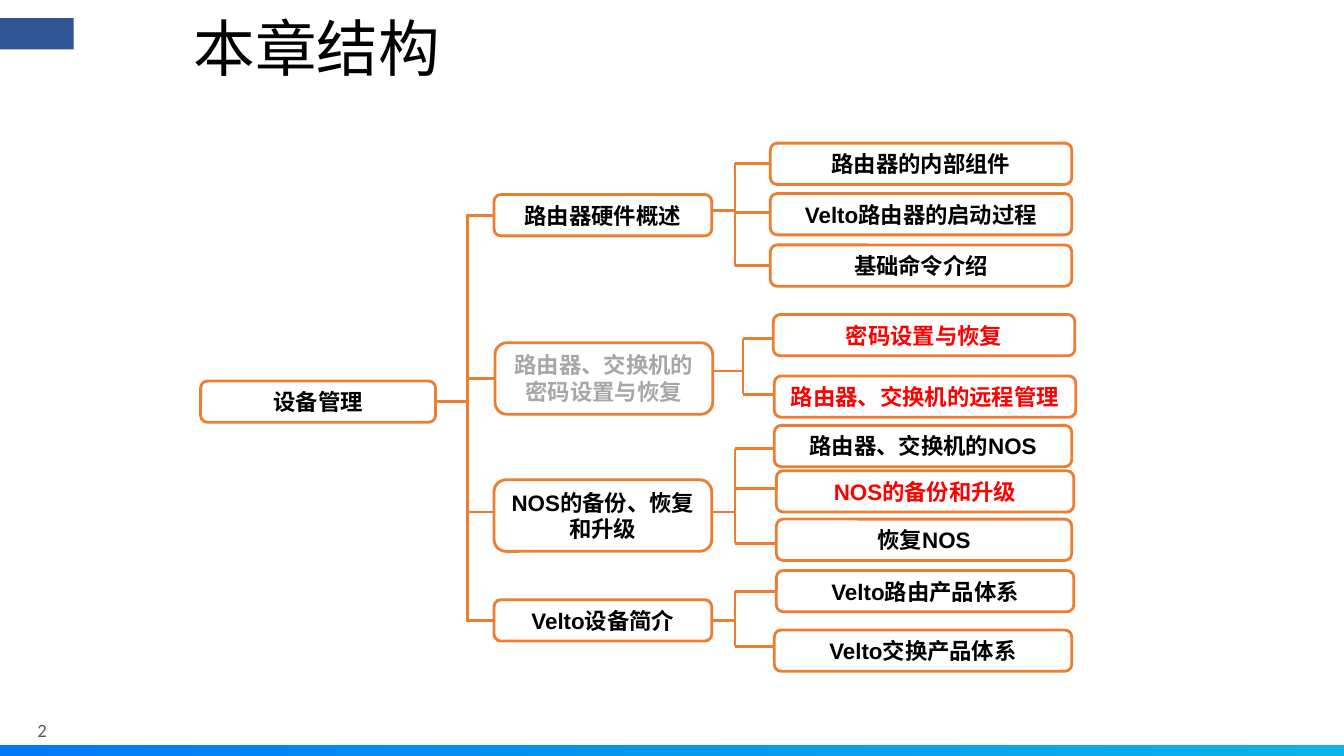
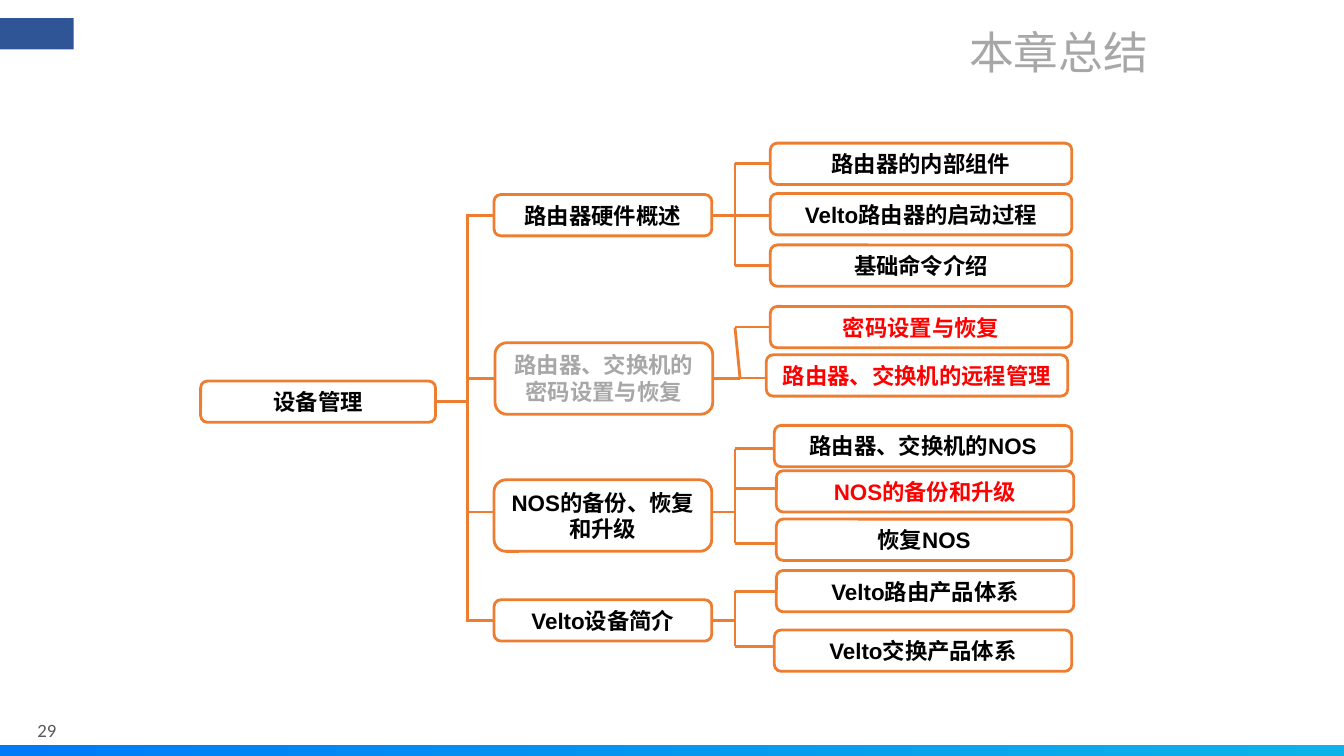
from collections import namedtuple

from lxml import etree
from pptx import Presentation
from pptx import util as u
from pptx.dml.color import RGBColor
from pptx.enum import shapes, text
from pptx.oxml.ns import qn

PX = 9144
WIDTH, HEIGHT = 1333, 750
BOX_H, TALL_H = 41, 71
TOPIC_W = 216
TRUNK_X, SPINE_X = 464, 729
LEFT, RIGHT = 1, 3

BLACK = RGBColor(0x00, 0x00, 0x00)
WHITE = RGBColor(0xFF, 0xFF, 0xFF)
RED = RGBColor(0xFF, 0x00, 0x00)
GREY = RGBColor(0xA7, 0xA7, 0xA7)
DARK_GREY = RGBColor(0x5A, 0x5A, 0x5A)
ORANGE = RGBColor(0xED, 0x7D, 0x31)
NAVY = RGBColor(0x2F, 0x55, 0x97)
BAND_START = RGBColor(0x00, 0x7B, 0xF7)
BAND_END = RGBColor(0x0B, 0xB3, 0xE8)

Topic = namedtuple("Topic", "label x y h color entry_y exit_y spine leaves")
Leaf = namedtuple("Leaf", "label x y w stub_y color", defaults=[BLACK])


def px(n):
    return u.Emu(round(n * PX))


def style_text(shape, label, size, color, font="Arial", bold=False,
               align=text.PP_ALIGN.LEFT):
    tf = shape.text_frame
    tf.text = label
    tf.word_wrap = True
    tf.vertical_anchor = text.MSO_ANCHOR.MIDDLE
    p = tf.paragraphs[0]
    p.alignment = align
    r = p.runs[0]
    r.font.name = font
    r.font.size = u.Pt(size)
    r.font.bold = bold
    r.font.color.rgb = color
    return tf


def add_text(s, at, label, size, color, inset=0, **style):
    sp = s.shapes.add_textbox(*map(px, at))
    tf = style_text(sp, label, size, color, **style)
    tf.margin_left = tf.margin_right = px(inset)
    tf.margin_top = tf.margin_bottom = 0
    return tf.paragraphs[0]


def add_bar(s, x, y, w, h):
    sp = s.shapes.add_shape(shapes.MSO_SHAPE.RECTANGLE, px(x), px(y), px(w), px(h))
    sp.shadow.inherit = False
    sp.line.fill.background()
    return sp.fill


def add_frame(s, number):
    band = add_bar(s, 0, 739, WIDTH, 13)
    band.gradient()
    band.gradient_angle = 0
    for stop, color in zip(band.gradient_stops, (BAND_START, BAND_END)):
        stop.color.rgb = color
    tab = add_bar(s, 0, 18, 73, 31)
    tab.solid()
    tab.fore_color.rgb = NAVY
    add_text(s, (37, 713, 74, 22), number, 13.4, DARK_GREY, font="Calibri")


def add_box(s, label, x, y, w, h=BOX_H, color=BLACK):
    sp = s.shapes.add_shape(shapes.MSO_SHAPE.ROUNDED_RECTANGLE,
                            px(x), px(y), px(w), px(h))
    sp.adjustments[0] = 0.167
    sp.shadow.inherit = False
    sp.fill.solid()
    sp.fill.fore_color.rgb = WHITE
    sp.line.color.rgb = ORANGE
    sp.line.width = u.Pt(2)
    tf = style_text(sp, label, 16, color, bold=True, align=text.PP_ALIGN.CENTER)
    tf.auto_size = text.MSO_AUTO_SIZE.SHAPE_TO_FIT_TEXT
    return sp


def add_line(s, x1, y1, x2, y2):
    c = s.shapes.add_connector(shapes.MSO_CONNECTOR.STRAIGHT,
                               px(x1), px(y1), px(x2), px(y2))
    c.line.color.rgb = ORANGE
    c.line.width = u.Pt(2)
    etree.SubElement(c._element.spPr, qn("a:effectLst"))
    return c


def add_stub(s, box, side, x, y):
    middle = (box.top + box.height / 2) / PX
    joined = abs(y - middle) <= 1
    if joined:
        y = middle
    edge = box.left if side == LEFT else box.left + box.width
    c = add_line(s, x, y, edge / PX, y)
    if joined:
        c.end_connect(box, side)


def add_topic(s, topic):
    box = add_box(s, topic.label, topic.x, topic.y, TOPIC_W, topic.h, topic.color)
    top_x, bottom_x = topic.spine
    add_stub(s, box, LEFT, TRUNK_X, topic.entry_y)
    add_stub(s, box, RIGHT, bottom_x, topic.exit_y)
    add_line(s, top_x, topic.leaves[0].stub_y, bottom_x, topic.leaves[-1].stub_y)
    for i, leaf in enumerate(topic.leaves):
        leaf_box = add_box(s, leaf.label, leaf.x, leaf.y, leaf.w, color=leaf.color)
        add_stub(s, leaf_box, LEFT, bottom_x if i else top_x, leaf.stub_y)


def add_tree(s, topics):
    root = add_box(s, "设备管理", 199, 378, 233)
    add_stub(s, root, RIGHT, TRUNK_X, 398)
    add_line(s, TRUNK_X, 212, TRUNK_X, 617)
    for topic in topics:
        add_topic(s, topic)


def hardware_topic(exit_y, middle_y):
    return Topic("路由器硬件概述", 490, 193, BOX_H, BLACK, 214, exit_y,
                 (SPINE_X, SPINE_X), [
                     Leaf("路由器的内部组件", 764, 142, 299, 162),
                     Leaf("Velto路由器的启动过程", 764, 192, 299, middle_y),
                     Leaf("基础命令介绍", 764, 243, 299, 264)])


def password_topic(exit_y, spine, setup_at, remote_at):
    return Topic("路由器、交换机的密码设置与恢复", 491, 340, TALL_H, GREY, 375, exit_y,
                 spine, [
                     Leaf("密码设置与恢复", *setup_at, RED),
                     Leaf("路由器、交换机的远程管理", *remote_at, RED)])


SHARED_TOPICS = [
    Topic("NOS的备份、恢复和升级", 490, 476, TALL_H, BLACK, 508, 508,
          (SPINE_X, SPINE_X), [
              Leaf("路由器、交换机的NOS", 768, 422, 295, 445),
              Leaf("NOS的备份和升级", 770, 467, 295, 485, RED),
              Leaf("恢复NOS", 770, 515, 293, 539)]),
    Topic("Velto设备简介", 490, 595, BOX_H, BLACK, 616, 616,
          (SPINE_X, SPINE_X), [
              Leaf("Velto路由产品体系", 770, 566, 295, 586),
              Leaf("Velto交换产品体系", 768, 625, 295, 641)]),
]


def add_slide(prs, number, topics):
    s = prs.slides.add_slide(prs.slide_layouts[6])
    add_frame(s, number)
    add_tree(s, topics + SHARED_TOPICS)
    return s


def main():
    prs = Presentation()
    prs.slide_width, prs.slide_height = px(WIDTH), px(HEIGHT)

    s = add_slide(prs, "2", [
        hardware_topic(209, 211),
        password_topic(368, (737, 737), (767, 312, 299, 336), (768, 373, 299, 391))])
    p = add_text(s, (192, 16, 958, 70), "本章结构", 44, BLACK)
    p.line_spacing = 0.9

    s = add_slide(prs, "29", [
        hardware_topic(214, 214),
        password_topic(375, (729, 734), (764, 304, 299, 325), (760, 352, 299, 375))])
    add_text(s, (191, 16, 958, 70), "本章总结", 32, GREY, inset=10,
             align=text.PP_ALIGN.RIGHT)

    prs.save("out.pptx")


if __name__ == "__main__":
    main()
